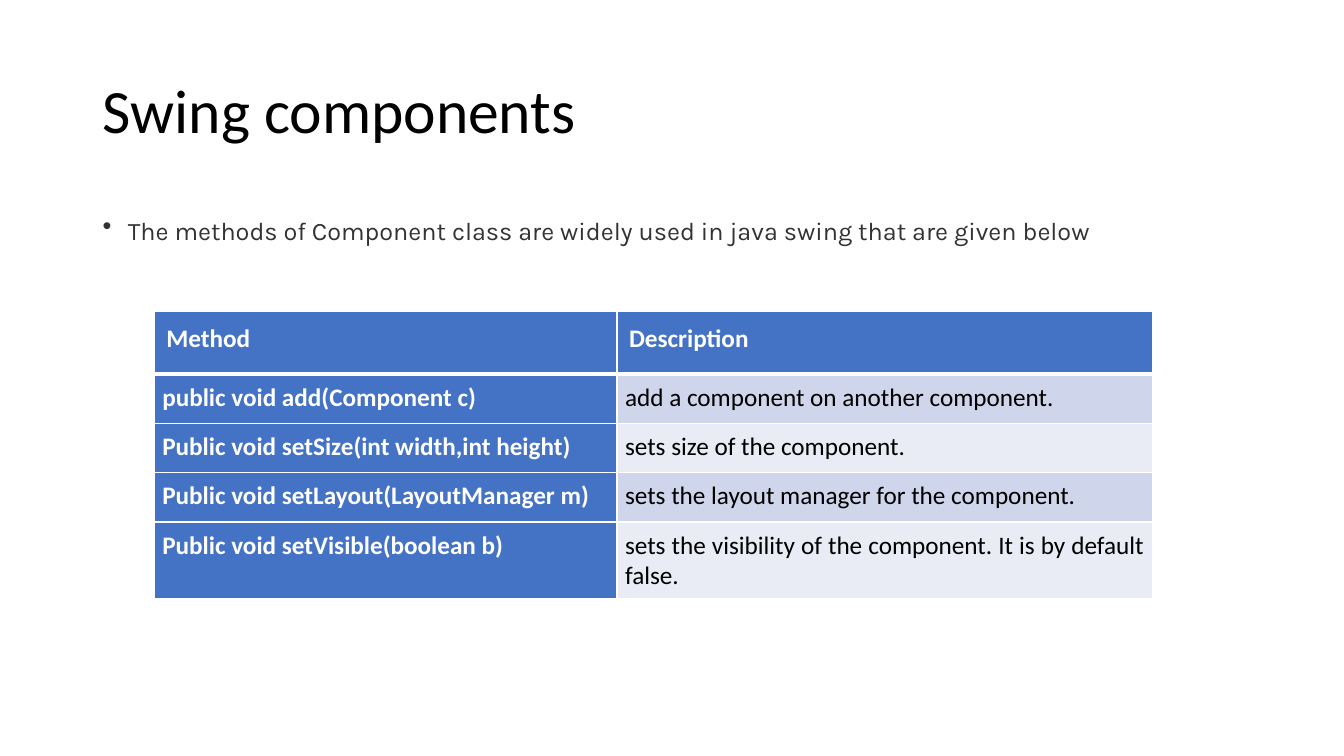
from pptx import Presentation
from pptx.dml.color import RGBColor
from pptx.enum.text import MSO_ANCHOR as Anchor, MSO_AUTO_SIZE as AutoSize, PP_ALIGN as Align
from pptx.oxml.ns import qn
from pptx.util import Inches, Pt
from lxml.etree import SubElement

WHITE, BLACK, BLUE = "FFFFFF", "000000", "4472C4"
BANDS = ("CFD5EA", "E9EBF5")
COLUMN_WIDTHS = (4.59, 5.31)
HEADER_HEIGHT, ROW_HEIGHT = 0.62, 0.49
METHODS = [
    ("Method", "Description"),
    ("public void add(Component c)", "add a component on another component."),
    ("Public void setSize(int width,int height)", "sets size of the component."),
    ("Public void setLayout(LayoutManager m)", "sets the layout manager for the component."),
    ("Public void setVisible(boolean b)",
     "sets the visibility of the component. It is by default false."),
]


def color(value):
    """Turn a hex string into a colour."""
    return RGBColor.from_string(value)


def format_run(run, size, value, font="Calibri", bold=False):
    """Set the font of one run."""
    run.font.name, run.font.size, run.font.bold = font, Pt(size), bold
    run.font.color.rgb = color(value)


def add_title(slide, text, left, top, width, height):
    """Place and format the title placeholder."""
    title = slide.shapes.title
    title.left, title.top = Inches(left), Inches(top)
    title.width, title.height = Inches(width), Inches(height)
    frame = title.text_frame
    frame.text = text
    frame.auto_size = AutoSize.NONE
    frame.vertical_anchor = Anchor.MIDDLE
    paragraph = frame.paragraphs[0]
    paragraph.alignment = Align.LEFT
    paragraph.line_spacing = 0.9
    format_run(paragraph.runs[0], 44, BLACK)


def add_bullet(slide, text, left, top, width, height):
    """Add the bulleted introduction, closed by a taller space that sets the line height."""
    box = slide.shapes.add_textbox(Inches(left), Inches(top), Inches(width), Inches(height))
    frame = box.text_frame
    frame.word_wrap = True
    frame.text = text
    paragraph = frame.paragraphs[0]
    paragraph.line_spacing = 0.9
    paragraph.space_before = Pt(10)
    format_run(paragraph.runs[0], 18, "333333", "Karla")
    space = paragraph.add_run()
    space.text = " "
    format_run(space, 28, BLACK)
    properties = paragraph._p.get_or_add_pPr()
    properties.set("marL", str(Inches(0.25)))
    properties.set("indent", str(Inches(-0.25)))
    SubElement(properties, qn("a:buFont"), typeface="Arial")
    SubElement(properties, qn("a:buChar"), char="•")


def add_borders(cell, bottom_width):
    """Draw white borders around a cell, before its fill in the XML."""
    properties = cell._tc.get_or_add_tcPr()
    widths = {"a:lnL": 1, "a:lnR": 1, "a:lnT": 1, "a:lnB": bottom_width}
    for index, (side, width) in enumerate(widths.items()):
        line = SubElement(properties, qn(side), w=str(Pt(width)))
        fill = SubElement(line, qn("a:solidFill"))
        SubElement(fill, qn("a:srgbClr"), val=WHITE)
        properties.insert(index, line)


def format_cell(cell, text, row, column):
    """Fill one cell according to its place in the table."""
    is_header = row == 0
    is_blue = is_header or column == 0
    inset = Inches(0.12 if is_header else 0.08)
    cell.margin_left = cell.margin_right = inset
    cell.margin_top = cell.margin_bottom = inset
    cell.fill.solid()
    cell.fill.fore_color.rgb = color(BLUE if is_blue else BANDS[(row - 1) % 2])
    add_borders(cell, 3 if is_header else 1)
    cell.text_frame.text = text
    paragraph = cell.text_frame.paragraphs[0]
    paragraph.alignment = Align.LEFT if is_header else Align.JUSTIFY
    format_run(paragraph.runs[0], 18, WHITE if is_blue else BLACK, bold=is_blue)


def add_method_table(slide, rows, left, top, width, height):
    """Add the table of methods and their descriptions."""
    table = slide.shapes.add_table(len(rows), len(COLUMN_WIDTHS), Inches(left), Inches(top),
                                   Inches(width), Inches(height)).table
    for column, column_width in zip(table.columns, COLUMN_WIDTHS):
        column.width = Inches(column_width)
    for row, texts in enumerate(rows):
        table.rows[row].height = Inches(ROW_HEIGHT if row else HEADER_HEIGHT)
        for column, text in enumerate(texts):
            format_cell(table.cell(row, column), text, row, column)


def build_slide(presentation):
    """Build the slide on Swing components."""
    slide = presentation.slides.add_slide(presentation.slide_layouts[5])
    add_title(slide, "Swing components", 0.92, 0.4, 11.5, 1.45)
    add_bullet(slide, "The methods of Component class are widely used in java swing "
                      "that are given below", 0.92, 2, 11.5, 4.76)
    add_method_table(slide, METHODS, 1.53, 3.09, 9.9, 2.86)


presentation = Presentation()
presentation.slide_width, presentation.slide_height = Inches(13.33), Inches(7.5)
build_slide(presentation)
presentation.save("out.pptx")
